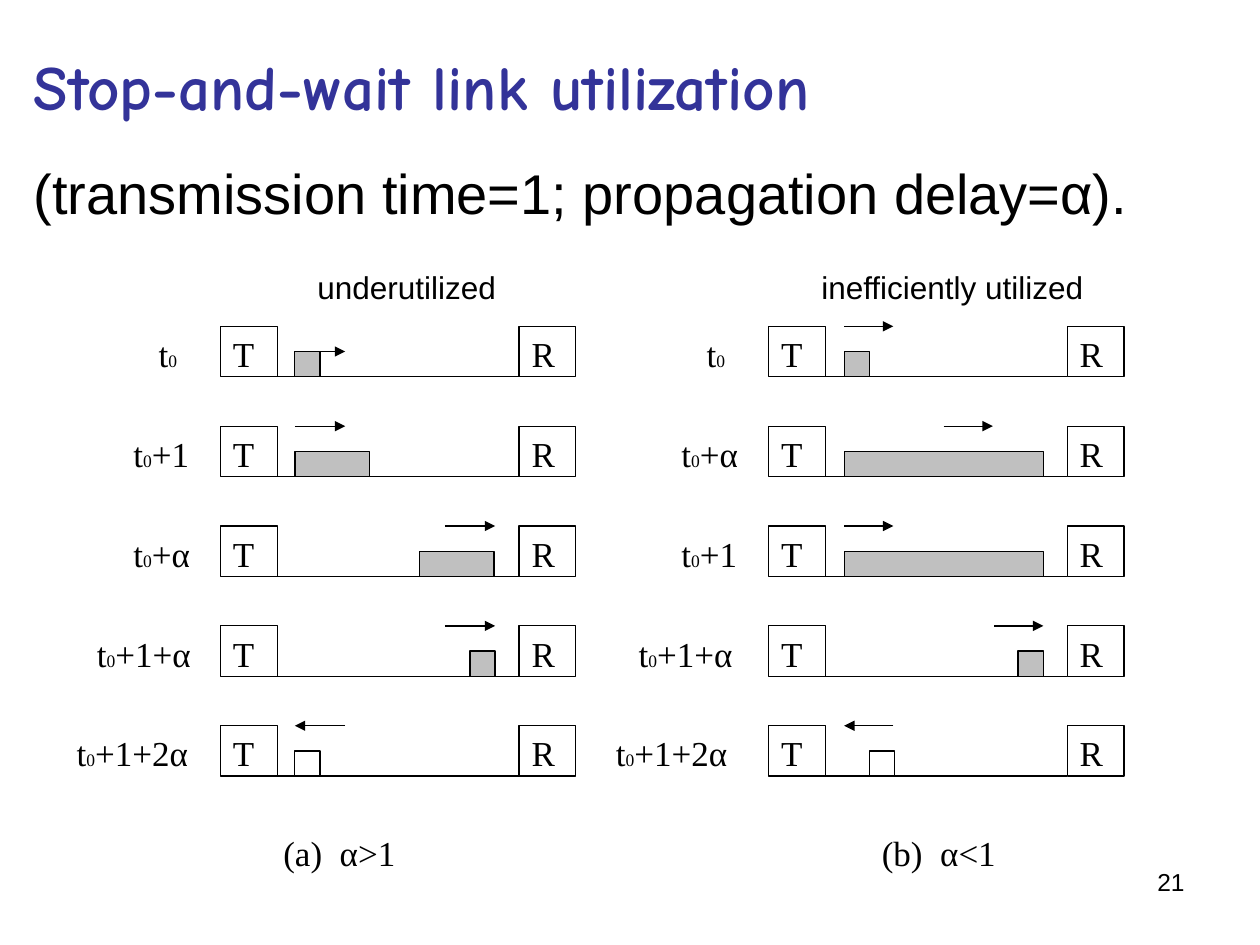
from lxml import etree
from pptx import Presentation
from pptx.dml.color import RGBColor
from pptx.enum.shapes import MSO_CONNECTOR, MSO_SHAPE
from pptx.enum.text import MSO_ANCHOR, PP_ALIGN
from pptx.oxml.ns import qn
from pptx.util import Inches, Pt

RECT = MSO_SHAPE.RECTANGLE
STRAIGHT = MSO_CONNECTOR.STRAIGHT
TOP = MSO_ANCHOR.TOP
LEFT, RIGHT = PP_ALIGN.LEFT, PP_ALIGN.RIGHT
BLACK = RGBColor(0x00, 0x00, 0x00)
WHITE = RGBColor(0xFF, 0xFF, 0xFF)
GREY = RGBColor(0xC0, 0xC0, 0xC0)
NAVY = RGBColor(0x33, 0x33, 0x99)
SERIF, SANS, COMIC = "Times New Roman", "Arial", "Comic Neue"

TITLE = "Stop-and-wait link utilization"
SUBTITLE = "(transmission time=1; propagation delay=α)."
PAGE = "21"

# fmt: label suffix, label offset, frame start, frame width, frame fill, arrow start, arrow end, arrow drop
PANELS = [
    {
        "left": 1.75,
        "heading": ("underutilized", 2.42, 1.83),
        "caption": ("(a)  α>1", 2.15),
        "steps": [
            ("", -0.59, 0.59, 0.2, GREY, 0.59, 0.99, 0.2),
            ("+1", -0.79, 0.59, 0.59, GREY, 0.59, 0.99, 0),
            ("+α", -0.79, 1.58, 0.59, GREY, 1.78, 2.18, 0),
            ("+1+α", -1.08, 1.98, 0.2, GREY, 1.78, 2.18, 0),
            ("+1+2α", -1.24, 0.59, 0.2, None, 0.99, 0.59, 0),
        ],
    },
    {
        "left": 6.1,
        "heading": ("inefficiently utilized", 6.42, 2.33),
        "caption": ("(b)  α<1", 6.9),
        "steps": [
            ("", -0.59, 0.6, 0.2, GREY, 0.6, 0.99, 0),
            ("+α", -0.79, 0.6, 1.58, GREY, 1.39, 1.78, 0),
            ("+1", -0.79, 0.6, 1.58, GREY, 0.6, 0.99, 0),
            ("+1+α", -1.13, 1.98, 0.2, GREY, 1.79, 2.18, 0),
            ("+1+2α", -1.31, 0.8, 0.2, None, 0.99, 0.6, 0),
        ],
    },
]
FIRST_TOP, LAST_TOP, ROWS = 2.59, 5.76, 5
PITCH = (LAST_TOP - FIRST_TOP) / (ROWS - 1)
NODE_W, NODE_H, FRAME_H = 0.45, 0.4, 0.2
WIRE_START, RECEIVER = 0.4, 2.37

prs = Presentation()
prs.slide_width, prs.slide_height = Inches(10), Inches(7.5)
slide = prs.slides.add_slide(prs.slide_layouts[6])


def set_font(font, face, size, color=BLACK):
    font.name = face
    font.size = Pt(size)
    font.color.rgb = color


def add_box(left, top, width, height, fill):
    box = slide.shapes.add_shape(
        RECT, Inches(left), Inches(top), Inches(width), Inches(height))
    box.shadow.inherit = False
    if fill is None:
        box.fill.background()
    else:
        box.fill.solid()
        box.fill.fore_color.rgb = fill
    box.line.color.rgb = BLACK
    box.line.width = Pt(0.75)
    return box


def add_node(letter, left, top):
    node = add_box(left, top, NODE_W, NODE_H, WHITE)
    node.text_frame.vertical_anchor = TOP
    paragraph = node.text_frame.paragraphs[0]
    paragraph.text = letter
    paragraph.alignment = LEFT
    set_font(paragraph.font, SERIF, 20)


def add_line(x1, y1, x2, y2, arrow=False):
    line = slide.shapes.add_connector(
        STRAIGHT, Inches(x1), Inches(y1), Inches(x2), Inches(y2))
    line.line.color.rgb = BLACK
    line.line.width = Pt(0.75)
    if arrow:
        etree.SubElement(line.line._get_or_add_ln(), qn("a:tailEnd"), type="triangle")
    etree.SubElement(line._element.spPr, qn("a:effectLst"))


def add_text(text, left, top, width, height, face, size, color=BLACK, wrap=True):
    box = slide.shapes.add_textbox(
        Inches(left), Inches(top), Inches(width), Inches(height))
    box.text_frame.word_wrap = wrap
    paragraph = box.text_frame.paragraphs[0]
    paragraph.text = text
    set_font(paragraph.font, face, size, color)
    return box.text_frame


def add_time_label(suffix, left, top, right):
    label = add_text("t", left, top, right - left, NODE_H, SERIF, 20, wrap=False)
    paragraph = label.paragraphs[0]
    zero = paragraph.add_run()
    zero.text = "0"
    zero.font.size = Pt(10)
    if suffix:
        paragraph.add_run().text = suffix


for panel in PANELS:
    left = panel["left"]
    for row, step in enumerate(panel["steps"]):
        suffix, label, start, width, fill, tail, head, drop = step
        top = FIRST_TOP + row * PITCH
        base = top + NODE_H
        add_node("T", left, top)
        add_node("R", left + RECEIVER, top)
        add_box(left + start, base - FRAME_H, width, FRAME_H, fill)
        add_line(left + tail, top + drop, left + head, top + drop, arrow=True)
        add_time_label(suffix, left + label, top, left)
        add_line(left + WIRE_START, base, left + RECEIVER, base)
    caption, caption_left = panel["caption"]
    add_text(caption, caption_left, 6.55, 1.19, 0.59, SERIF, 20)
    heading, heading_left, heading_width = panel["heading"]
    add_text(heading, heading_left, 2.08, heading_width, 0.4, SANS, 18, wrap=False)

title = add_text(TITLE, 0.17, 0.33, 9.83, 1.51, COMIC, 36, NAVY)
title.paragraphs[0].font.bold = True
subtitle = title.add_paragraph()
subtitle.text = SUBTITLE
set_font(subtitle.font, SANS, 32)
for paragraph in title.paragraphs:
    paragraph.space_before = Pt(20)

page = add_text(PAGE, 7.17, 6.83, 2.33, 0.52, SANS, 14)
page.paragraphs[0].alignment = RIGHT

prs.save("out.pptx")
